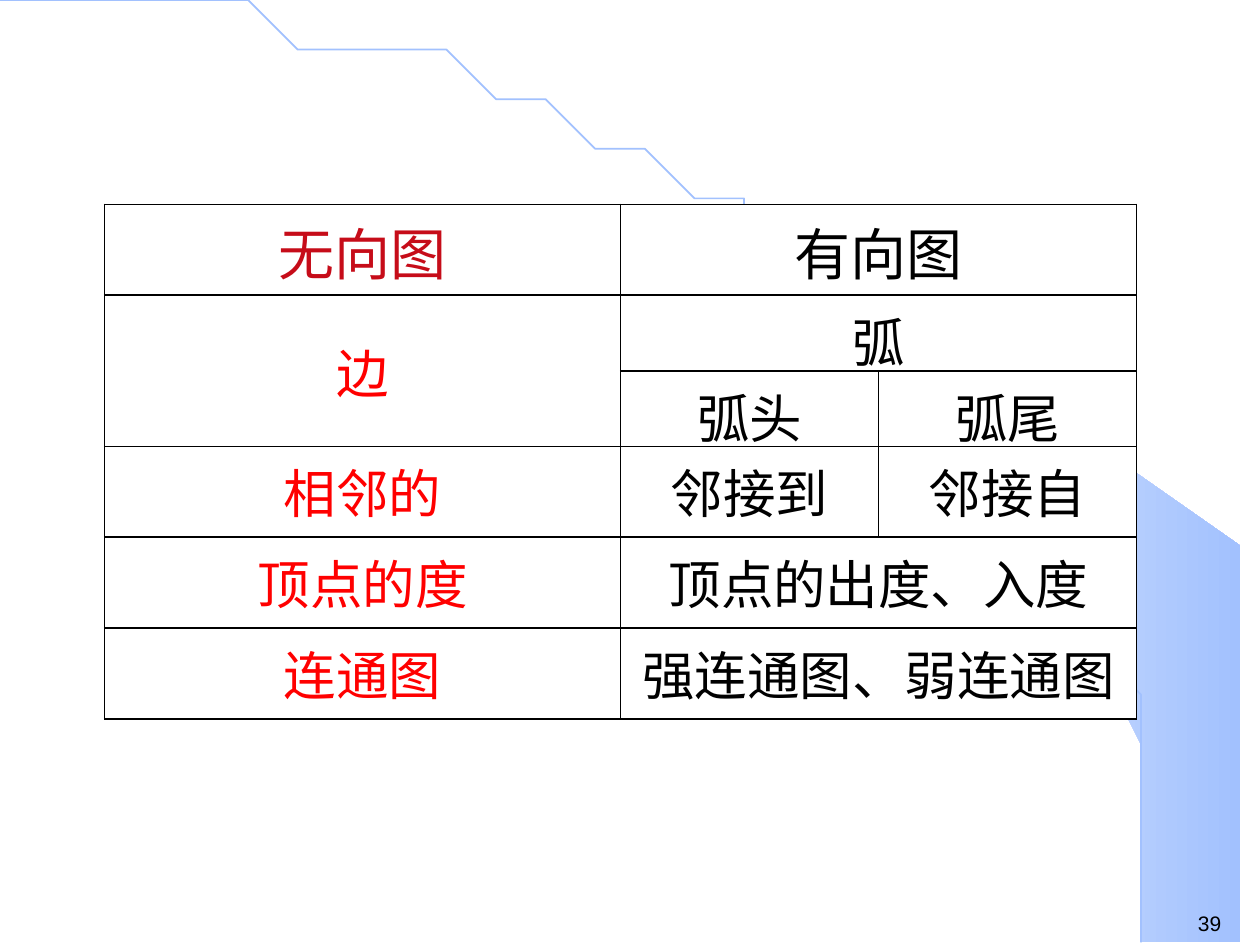
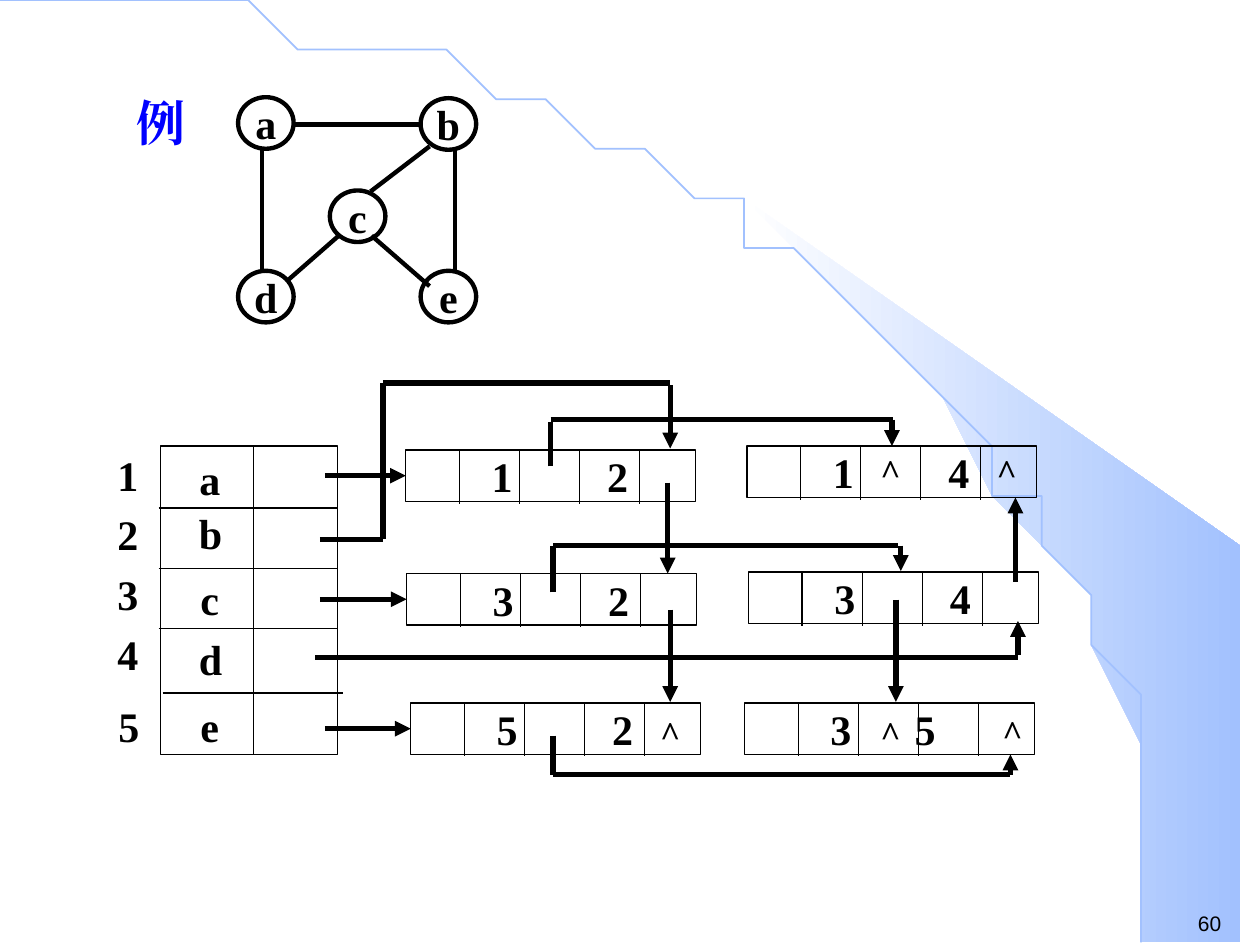
from lxml import etree
from pptx import Presentation
from pptx import util as u
from pptx.dml.color import RGBColor
from pptx.enum import shapes, text
from pptx.oxml.ns import qn

HUES = {"ink": "000000", "paper": "FFFFFF", "sky": "A2C1FE",
        "red": "FF0000", "wine": "C60C19", "blue": "0000FF"}
HUE = {name: RGBColor.from_string(code) for name, code in HUES.items()}
SERIF, SANS, HAN = "Times New Roman", "Arial", "Noto Sans CJK SC"
MID, TOP = text.MSO_ANCHOR.MIDDLE, text.MSO_ANCHOR.TOP
LEFT, MIDST = text.PP_ALIGN.LEFT, text.PP_ALIGN.CENTER
RECT, OVAL = shapes.MSO_SHAPE.RECTANGLE, shapes.MSO_SHAPE.OVAL


def write(frame, words, size, face=SERIF, hue="ink", bold=True, align=MIDST, tabs=()):
    par = frame.paragraphs[0]
    par.alignment = align
    if tabs:
        stops = etree.SubElement(par._p.get_or_add_pPr(), qn("a:tabLst"))
        for stop in tabs:
            etree.SubElement(stops, qn("a:tab"), pos=str(u.Cm(stop)), algn="l")
    run = par.add_run()
    run.text = words
    for key, value in {"size": u.Pt(size), "name": face, "bold": bold}.items():
        setattr(run.font, key, value)
    run.font.color.rgb = HUE[hue]
    etree.SubElement(run.font._element, qn("a:ea"), typeface=face)


def draw(page, x1, y1, x2, y2, width, tip=False):
    link = page.shapes.add_connector(shapes.MSO_CONNECTOR.STRAIGHT,
                                     *map(u.Cm, (x1, y1, x2, y2)))
    link.line.width = u.Pt(width)
    link.line.color.rgb = HUE["ink"]
    if tip:
        etree.SubElement(link.line._get_or_add_ln(), qn("a:tailEnd"), type="triangle")
    etree.SubElement(link._element.spPr, qn("a:effectLst"))
    return link


deck = Presentation()
deck.slide_width, deck.slide_height = u.Cm(25.4), u.Cm(19.05)

BEAM = [(23.37, 19), (25.37, 19.02), (25.37, 10.74), (14.96, 4.39), (15.85, 5.05),
        (16.59, 5.64), (17.4, 6.35), (18.19, 7.11), (19.35, 8.38), (20.4, 9.75),
        (21.13, 10.95), (21.79, 12.17), (22.3, 13.41), (22.68, 14.53),
        (22.94, 15.47), (23.19, 16.66), (23.29, 17.68)]
ARC = []
for step in range(61):
    t = step / 60
    a, b, c = 3 * t * (1 - t) ** 2, 3 * t ** 2 * (1 - t), t ** 3
    ARC.append((12.9 * a + 23.37 * (b + c), 8.51 * b + 19.02 * c))

pages = []
for number in ("39", "60"):
    page = deck.slides.add_slide(deck.slide_layouts[6])
    pages.append(page)

    pen = page.shapes.build_freeform(*BEAM[0], scale=u.Cm(1))
    pen.add_line_segments(BEAM[1:], close=True)
    beam = pen.convert_to_shape()
    beam.shadow.inherit = False
    beam.fill.gradient()
    beam.fill.gradient_angle = 0
    for stop, hue in zip(beam.fill.gradient_stops, ("paper", "sky")):
        stop.color.rgb = HUE[hue]
    beam.line.fill.background()

    pen = page.shapes.build_freeform(*ARC[0], scale=u.Cm(1))
    pen.add_line_segments(ARC[1:], close=False)
    arc = pen.convert_to_shape()
    arc.shadow.inherit = False
    arc.fill.background()
    arc.line.color.rgb = HUE["sky"]
    arc.line.width = u.Pt(1)

    box = page.shapes.add_textbox(*map(u.Cm, (23.9, 18.24, 1.5, 0.76)))
    box.text_frame.word_wrap = True
    write(box.text_frame, number, 12, SANS, bold=False, align=LEFT)

terms, graph = pages

ROWS = [("无向图", "有向图", ""),
        ("边", "弧", ""),
        ("", "弧头", "弧尾"),
        ("相邻的", "邻接到", "邻接自"),
        ("顶点的度", "顶点的出度、入度", ""),
        ("连通图", "强连通图、弱连通图", "")]
grid = terms.shapes.add_table(6, 3, *map(u.Cm, (2.11, 4.12, 20.8, 10.36))).table
grid.first_row = grid.horz_banding = False
for col, width in zip(grid.columns, (10.4, 5.2, 5.2)):
    col.width = u.Cm(width)
for row, height in zip(grid.rows, (1.83, 1.52, 1.52, 1.83, 1.83, 1.83)):
    row.height = u.Cm(height)
for r, row in enumerate(ROWS):
    for c, words in enumerate(row):
        cell = grid.cell(r, c)
        rim = cell._tc.get_or_add_tcPr()
        for side in ("a:lnL", "a:lnR", "a:lnT", "a:lnB"):
            edge = etree.SubElement(rim, qn(side), w=str(u.Pt(1)))
            fill = etree.SubElement(edge, qn("a:solidFill"))
            etree.SubElement(fill, qn("a:srgbClr"), val=HUES["ink"])
        cell.fill.solid()
        cell.fill.fore_color.rgb = HUE["paper"]
        if words:
            hue = "ink" if c else "red" if r else "wine"
            write(cell.text_frame, words, 30 if r else 32, HAN, hue, bold=False)
for r in (0, 1, 4, 5):
    grid.cell(r, 1).merge(grid.cell(r, 2))
grid.cell(1, 0).merge(grid.cell(2, 0))
grid.cell(1, 0).vertical_anchor = MID

NODES = [("a", 4.8, 1.96), ("e", 8.48, 5.46), ("c", 6.65, 3.84),
         ("b", 8.48, 1.98), ("d", 4.8, 5.46)]
CELLS = [("1", "2", 8.18, 9.07), ("1", "4", 15.06, 8.99), ("3", "4", 15.09, 11.53),
         ("3", "2", 8.2, 11.56), ("3", "5", 15.01, 14.17), ("5", "2", 8.28, 14.17)]
forms = [(OVAL, x, y, 1.12, 1.04, 2.5, name, ()) for name, x, y in NODES]
forms.append((RECT, 3.23, 8.99, 3.58, 6.22, 0.75, "", ()))
for i, j, x, y in CELLS:
    second = 3.18 if j == "5" else 3.81
    forms.append((RECT, x, y, 5.84, 1.04, 0.75, f"\t{i}\t{j}", (1.48, second)))

made = []
for kind, x, y, w, h, width, words, tabs in forms:
    form = graph.shapes.add_shape(kind, *map(u.Cm, (x, y, w, h)))
    form.shadow.inherit = False
    form.fill.background()
    form.line.color.rgb = HUE["ink"]
    form.line.width = u.Pt(width)
    frame = form.text_frame
    for key, value in {"word_wrap": bool(tabs), "vertical_anchor": MID,
                       "margin_top": 0, "margin_bottom": 0}.items():
        setattr(frame, key, value)
    if words:
        write(frame, words, 24, align=LEFT if tabs else MIDST, tabs=tabs)
    made.append(form)
lists = made[-len(CELLS):]

EDGES = [(5.89, 2.51, 8.48, 2.51), (5.28, 3, 5.28, 5.44), (9.17, 3, 9.17, 5.44),
         (7.49, 4.75, 8.66, 5.77), (8.66, 2.95, 7.47, 3.86), (6.83, 4.75, 5.79, 5.66)]
for edge in EDGES:
    draw(graph, *edge, 2.5)

for y in (10.24, 11.46, 12.67):
    draw(graph, 3.2, y, 6.81, y, 0.75)
draw(graph, 3.28, 13.97, 6.91, 13.97, 0.75)
draw(graph, 5.11, 8.99, 5.11, 15.21, 0.75)
for i, j, x, y in CELLS:
    for k in range(4):
        rule = x + 1.08 + 1.21 * k
        draw(graph, rule, y, rule, y + 1.08, 0.75)

WIRES = [(11.1, 9.4, 11.1, 8.51), (11.1, 8.46, 18.01, 8.46),
         (6.45, 10.87, 7.72, 10.87), (7.72, 10.87, 7.72, 7.72),
         (7.72, 7.72, 13.51, 7.72), (11.15, 11.94, 11.15, 11),
         (11.15, 11, 18.11, 11), (6.35, 13.26, 20.52, 13.26),
         (11.15, 14.83, 11.15, 15.62), (11.15, 15.62, 20.37, 15.62)]
TIPS = [(13.51, 7.77, 13.51, 9.04), (13.46, 9.73, 13.46, 11.56),
        (13.51, 12.29, 13.51, 14.15), (18.16, 11, 18.16, 11.51),
        (18.06, 12.09, 18.06, 14.15), (20.52, 13.21, 20.52, 12.52),
        (20.47, 11.73, 20.47, 10.03), (20.37, 15.62, 20.37, 15.21)]
for wire in WIRES:
    draw(graph, *wire, 3)
for wire in TIPS:
    draw(graph, *wire, 3, tip=True)
for x, y, goal, side in ((6.55, 9.59, 0, 1), (6.45, 12.08, 3, 1),
                         (6.55, 14.69, 5, 1), (17.98, 8.46, 1, 0)):
    draw(graph, x, y, x, y, 3, tip=True).end_connect(lists[goal], side)

labels = [("例", 2.49, 1.73, 1.5, 1.45, 28, "blue", MID)]
for name, x, y in zip("12345", (2.11, 2.11, 2.11, 2.11, 2.13),
                      (8.94, 10.13, 11.33, 12.55, 14)):
    labels.append((name, x, y, 0.94, 1.27, 24, "ink", MID))
for name, y in zip("abcde", (9.02, 10.11, 11.43, 12.65, 14)):
    labels.append((name, 3.76, y, 0.94, 1.27, 24, "ink", MID))
for x, y in ((17.5, 8.94), (17.5, 14.22), (19.84, 8.94), (19.96, 14.2), (13.06, 14.22)):
    labels.append(("^", x, y, 0.91, 1.09, 20, "ink", TOP))
for words, x, y, w, h, size, hue, anchor in labels:
    box = graph.shapes.add_textbox(*map(u.Cm, (x, y, w, h)))
    for key, value in {"word_wrap": False, "vertical_anchor": anchor}.items():
        setattr(box.text_frame, key, value)
    write(box.text_frame, words, size, hue=hue, align=LEFT if words == "^" else MIDST)

deck.save("out.pptx")
